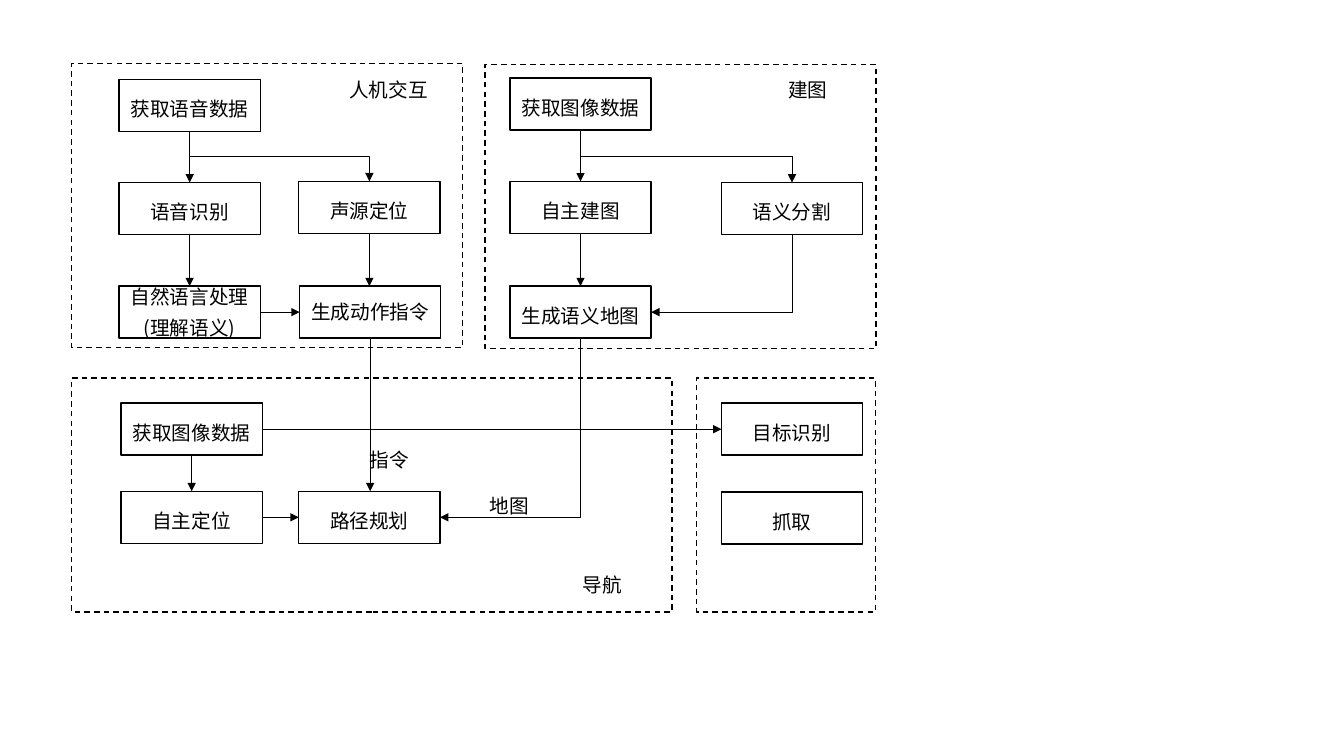
from dataclasses import dataclass
from typing import Optional

from lxml.etree import SubElement
from pptx import Presentation
from pptx.dml.color import RGBColor
from pptx.enum.dml import MSO_LINE
from pptx.enum.shapes import MSO_CONNECTOR, MSO_SHAPE
from pptx.enum.text import MSO_ANCHOR, MSO_AUTO_SIZE, PP_ALIGN
from pptx.oxml.ns import qn
from pptx.shapes.autoshape import Shape
from pptx.shapes.connector import Connector
from pptx.slide import Slide
from pptx.text.text import TextFrame
from pptx.util import Cm, Pt

BLACK = RGBColor(0, 0, 0)
WHITE = RGBColor(255, 255, 255)
FONT = "Noto Sans CJK SC"
BOX_WIDTH, BOX_HEIGHT = 3.56, 1.31
LABEL_HEIGHT = 0.86


@dataclass(frozen=True)
class Panel:
    left: float
    top: float
    width: float
    height: float


@dataclass(frozen=True)
class Step:
    text: str
    left: float
    top: float
    spacing: Optional[float] = 1.3

    @property
    def right(self) -> float:
        return self.left + BOX_WIDTH

    @property
    def bottom(self) -> float:
        return self.top + BOX_HEIGHT

    @property
    def center(self) -> float:
        return self.left + BOX_WIDTH / 2

    @property
    def middle(self) -> float:
        return self.top + BOX_HEIGHT / 2


@dataclass(frozen=True)
class Label:
    text: str
    left: float
    top: float
    width: float


PANELS = [
    Panel(1.8, 1.6, 9.86, 7.16),
    Panel(12.22, 1.63, 9.86, 7.16),
    Panel(1.8, 9.53, 15.14, 5.89),
    Panel(17.55, 9.53, 4.52, 5.89),
]

VOICE = Step("获取语音数据", 3, 2)
RECOGNITION = Step("语音识别", 3, 4.6)
LANGUAGE = Step("自然语言处理\n(理解语义)", 3, 7.21)
SOUND_SOURCE = Step("声源定位", 7.53, 4.57)
COMMAND = Step("生成动作指令", 7.55, 7.21, None)
MAP_IMAGE = Step("获取图像数据", 12.85, 1.97)
MAPPING = Step("自主建图", 12.85, 4.57)
SEGMENTATION = Step("语义分割", 18.18, 4.6)
SEMANTIC_MAP = Step("生成语义地图", 12.85, 7.21)
NAVIGATION_IMAGE = Step("获取图像数据", 3.05, 10.16)
LOCALIZATION = Step("自主定位", 3.05, 12.38)
PLANNING = Step("路径规划", 7.53, 12.38)
TARGET = Step("目标识别", 18.18, 10.16)
GRASP = Step("抓取", 18.18, 12.4)

STEPS = [
    VOICE, RECOGNITION, LANGUAGE, SOUND_SOURCE, COMMAND,
    MAP_IMAGE, MAPPING, SEGMENTATION, SEMANTIC_MAP,
    NAVIGATION_IMAGE, LOCALIZATION, PLANNING, TARGET, GRASP,
]
DOWN_ARROWS = [
    (VOICE, RECOGNITION), (RECOGNITION, LANGUAGE), (SOUND_SOURCE, COMMAND),
    (COMMAND, PLANNING), (MAP_IMAGE, MAPPING), (MAPPING, SEMANTIC_MAP),
    (NAVIGATION_IMAGE, LOCALIZATION),
]
RIGHT_ARROWS = [(LANGUAGE, COMMAND), (LOCALIZATION, PLANNING), (NAVIGATION_IMAGE, TARGET)]
BRANCH_ARROWS = [(VOICE, SOUND_SOURCE), (MAP_IMAGE, SEGMENTATION)]
CORNER_ARROWS = [(SEGMENTATION, SEMANTIC_MAP), (SEMANTIC_MAP, PLANNING)]

LABELS = [
    Label("人机交互", 8.41, 1.83, 2.77),
    Label("建图", 18.97, 1.83, 2.77),
    Label("指令", 8.89, 11.15, 1.85),
    Label("地图", 11.91, 12.32, 1.85),
    Label("导航", 13.79, 14.3, 2.77),
]


def write_text(text_frame: TextFrame, text: str) -> None:
    text_frame.text = text
    text_frame.word_wrap = True
    for paragraph in text_frame.paragraphs:
        paragraph.alignment = PP_ALIGN.CENTER
        for run in paragraph.runs:
            run.font.size = Pt(14)
            run.font.name = FONT
            run.font.color.rgb = BLACK
            SubElement(run.font._element, qn("a:ea")).set("typeface", FONT)


def add_rectangle(slide: Slide, left: float, top: float, width: float, height: float) -> Shape:
    shape = slide.shapes.add_shape(
        MSO_SHAPE.RECTANGLE, Cm(left), Cm(top), Cm(width), Cm(height))
    shape.shadow.inherit = False
    shape.fill.solid()
    shape.fill.fore_color.rgb = WHITE
    shape.line.color.rgb = BLACK
    shape.line.width = Pt(1)
    return shape


def add_panel(slide: Slide, panel: Panel) -> None:
    shape = add_rectangle(slide, panel.left, panel.top, panel.width, panel.height)
    shape.line.dash_style = MSO_LINE.DASH


def add_step(slide: Slide, step: Step) -> None:
    text_frame = add_rectangle(slide, step.left, step.top, BOX_WIDTH, BOX_HEIGHT).text_frame
    text_frame.vertical_anchor = MSO_ANCHOR.MIDDLE
    write_text(text_frame, step.text)
    if step.spacing:
        text_frame.paragraphs[-1].line_spacing = step.spacing


def add_label(slide: Slide, label: Label) -> None:
    text_box = slide.shapes.add_textbox(
        Cm(label.left), Cm(label.top), Cm(label.width), Cm(LABEL_HEIGHT))
    write_text(text_box.text_frame, label.text)
    text_box.text_frame.auto_size = MSO_AUTO_SIZE.SHAPE_TO_FIT_TEXT


def add_arrow(slide: Slide, x1: float, y1: float, x2: float, y2: float,
              kind: MSO_CONNECTOR = MSO_CONNECTOR.STRAIGHT) -> Connector:
    arrow = slide.shapes.add_connector(kind, Cm(x1), Cm(y1), Cm(x2), Cm(y2))
    arrow.line.color.rgb = BLACK
    arrow.line.width = Pt(0.5)
    properties = arrow._element.spPr
    SubElement(properties.find(qn("a:ln")), qn("a:tailEnd")).set("type", "triangle")
    SubElement(properties, qn("a:effectLst"))
    return arrow


def add_bent_arrow(slide: Slide, x1: float, y1: float, x2: float, y2: float) -> None:
    """Leave downwards: branch twice to the right, or turn one corner to the left."""
    arrow = add_arrow(slide, x1, y1, x2, y2, MSO_CONNECTOR.ELBOW)
    width, height = abs(y2 - y1), abs(x2 - x1)
    arrow.left, arrow.top = Cm((x1 + x2 - width) / 2), Cm((y1 + y2 - height) / 2)
    arrow.width, arrow.height = Cm(width), Cm(height)
    properties = arrow._element.spPr
    transform = properties.find(qn("a:xfrm"))
    transform.attrib.pop("flipH", None)
    if x2 > x1:
        transform.set("rot", str(270 * 60000))
        transform.set("flipH", "1")
    else:
        transform.set("rot", str(90 * 60000))
        properties.find(qn("a:prstGeom")).set("prst", "bentConnector2")


def main() -> None:
    presentation = Presentation()
    presentation.slide_width, presentation.slide_height = Cm(33.87), Cm(19.05)
    slide = presentation.slides.add_slide(presentation.slide_layouts[6])
    for panel in PANELS:
        add_panel(slide, panel)
    for step in STEPS:
        add_step(slide, step)
    for start, end in DOWN_ARROWS:
        add_arrow(slide, start.center, start.bottom, start.center, end.top)
    for start, end in RIGHT_ARROWS:
        add_arrow(slide, start.right, start.middle, end.left, start.middle)
    for start, end in BRANCH_ARROWS:
        add_bent_arrow(slide, start.center, start.bottom, end.center, end.top)
    for start, end in CORNER_ARROWS:
        add_bent_arrow(slide, start.center, start.bottom, end.right, end.middle)
    for label in LABELS:
        add_label(slide, label)
    presentation.save("out.pptx")


if __name__ == "__main__":
    main()
